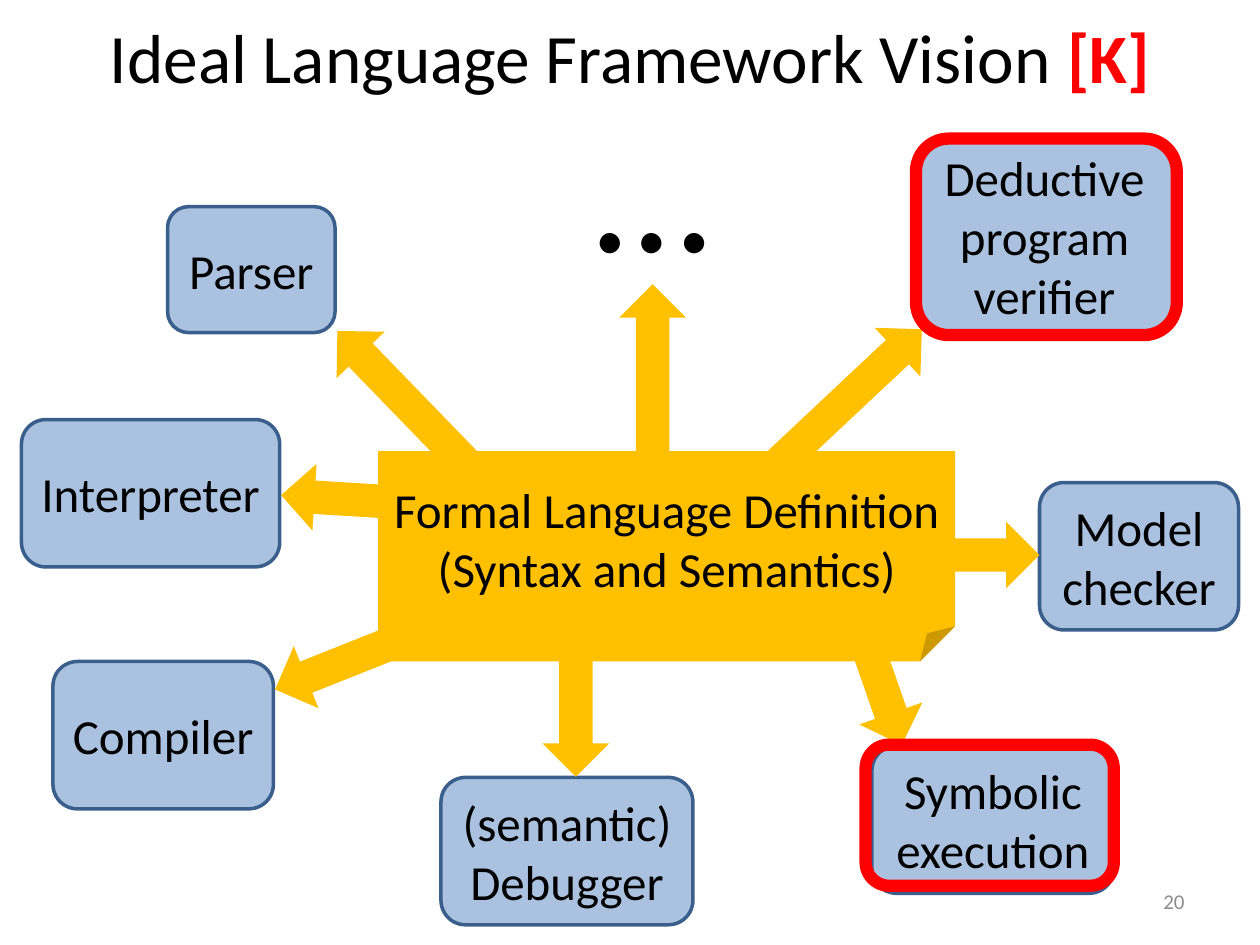
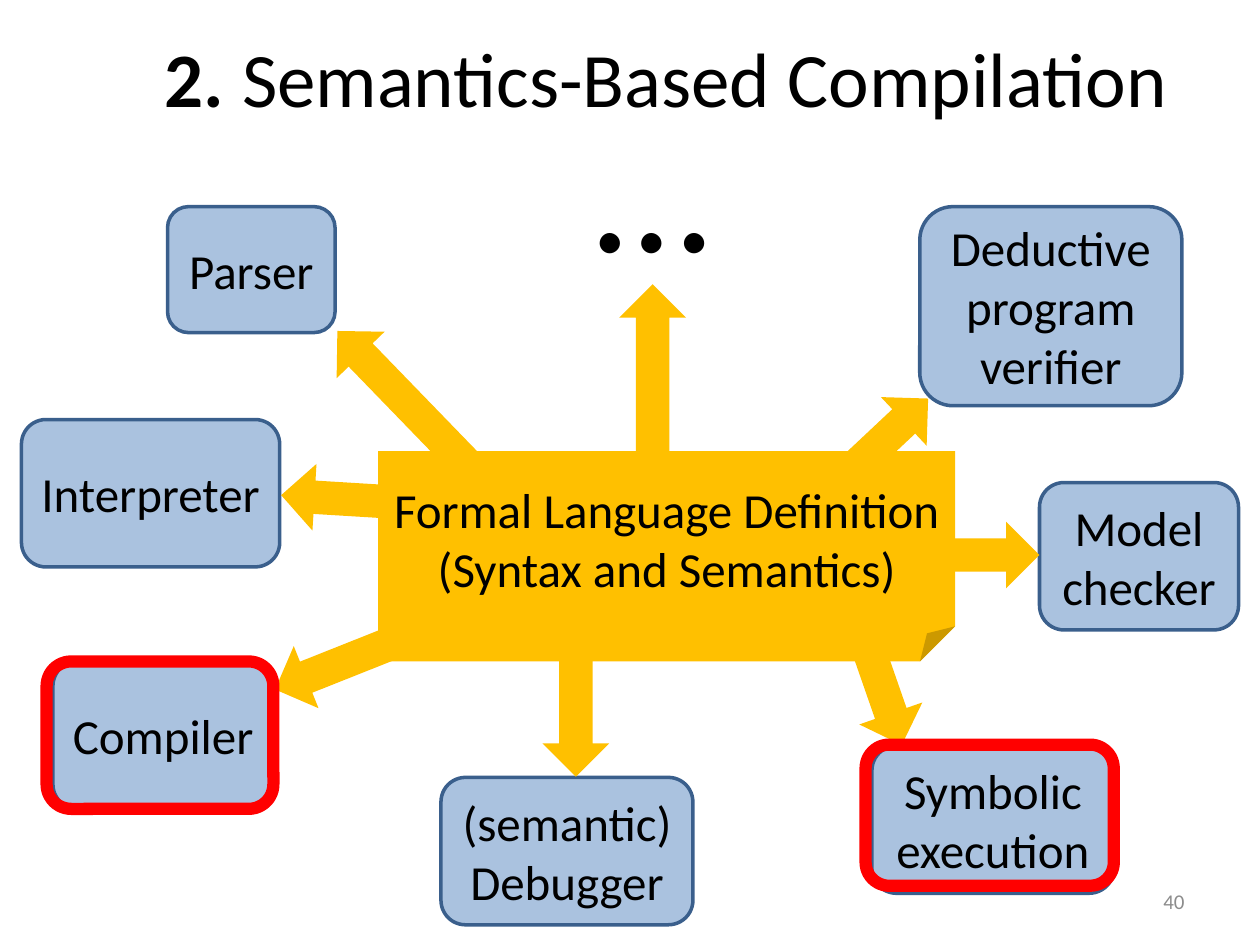
from lxml import etree
from pptx import Presentation
from pptx.dml.color import RGBColor
from pptx.enum.shapes import MSO_SHAPE
from pptx.enum.text import MSO_ANCHOR, PP_ALIGN
from pptx.oxml.ns import qn
from pptx.util import Inches, Pt

BLACK = RGBColor(0x00, 0x00, 0x00)
RED = RGBColor(0xFF, 0x00, 0x00)
GOLD = RGBColor(0xFF, 0xC0, 0x00)
BLUE = RGBColor(0x4F, 0x81, 0xBD)
DARK_BLUE = RGBColor(0x3A, 0x5F, 0x8C)
GREY = RGBColor(0x8C, 0x8C, 0x8C)

FONT = "Calibri"
LABEL_SIZE = 28
ARROW_HEIGHT = 0.53
TOOL_OPACITY = 48

# Each tool: label, box (left, top, width, height), arrow (left, top, width, rotation)
TOOLS = [
    ("Parser", (1.33, 1.64, 1.33, 1), (2.45, 2.9, 1.5, 225.9)),
    ("Interpreter", (0.17, 3.33, 2.05, 1.17), (2.23, 3.71, 1.48, 183.5)),
    ("Compiler", (0.42, 5.25, 1.75, 1.17), (2.13, 4.93, 1.5, 158.3)),
    ("(semantic) Debugger", (3.5, 6.17, 2, 1.17), (3.82, 5.15, 1.5, 90)),
    ("Symbolic execution", (6.92, 5.92, 1.92, 1.17), (6.16, 4.94, 1.5, 70.8)),
    ("Model checker", (8.25, 3.83, 1.58, 1.17), (6.75, 4.14, 1.5, 0)),
]
VERIFIER_MARK = (7.27, 1.1, 2.07, 1.56)
COMPILER_MARK = (0.37, 5.25, 1.8, 1.17)
EXECUTION_MARK = (6.87, 5.91, 1.97, 1.12)


class Deck:
    """Holds the presentation, its style and the current slide."""

    def __init__(self):
        self.prs = Presentation()
        self.prs.slide_width = Inches(10)
        self.prs.slide_height = Inches(7.5)
        self.s = None

    def new_slide(self):
        self.s = self.prs.slides.add_slide(self.prs.slide_layouts[6])

    def fill_text(self, sp, paragraphs, size, align=PP_ALIGN.CENTER,
                  anchor=MSO_ANCHOR.MIDDLE, wrap=True):
        """Put text in a shape; each paragraph is a list of (text, colour, bold) runs."""
        tf = sp.text_frame
        tf.word_wrap = wrap
        tf.vertical_anchor = anchor
        for i, runs in enumerate(paragraphs):
            p = tf.add_paragraph() if i else tf.paragraphs[0]
            p.alignment = align
            for text, color, bold in runs:
                r = p.add_run()
                r.text = text
                r.font.name = FONT
                r.font.size = Pt(size)
                r.font.bold = bold
                r.font.color.rgb = color

    def text(self, at, runs, size, **style):
        sp = self.s.shapes.add_textbox(*map(Inches, at))
        self.fill_text(sp, [runs], size, **style)

    def shape(self, kind, at, fill=None, line=None, line_width=2):
        sp = self.s.shapes.add_shape(kind, *map(Inches, at))
        sp.shadow.inherit = False
        if fill is None:
            sp.fill.background()
        else:
            sp.fill.solid()
            sp.fill.fore_color.rgb = fill
        if line is None:
            sp.line.fill.background()
        else:
            sp.line.color.rgb = line
            sp.line.width = Pt(line_width)
        return sp

    def arrow(self, left, top, width, rotation):
        sp = self.shape(MSO_SHAPE.RIGHT_ARROW, (left, top, width, ARROW_HEIGHT), GOLD)
        sp.rotation = rotation

    def tool(self, label, box, arrow):
        """Translucent labelled box with the arrow that leads to it."""
        sp = self.shape(MSO_SHAPE.ROUNDED_RECTANGLE, box, BLUE, DARK_BLUE)
        color = sp.element.spPr.find(qn("a:solidFill"))[0]
        etree.SubElement(color, qn("a:alpha")).set("val", str(TOOL_OPACITY * 1000))
        self.fill_text(sp, [[(label, BLACK, False)]], LABEL_SIZE)
        self.arrow(*arrow)

    def highlight(self, at):
        self.shape(MSO_SHAPE.ROUNDED_RECTANGLE, at, line=RED, line_width=7)

    def definition(self):
        sp = self.shape(MSO_SHAPE.FOLDED_CORNER, (3, 3.58, 4.58, 1.67), GOLD)
        lines = ["Formal Language Definition", "(Syntax and Semantics)"]
        self.fill_text(sp, [[(line, BLACK, False)] for line in lines], LABEL_SIZE)

    def title(self, left, top, runs, size):
        self.text((left, top, 9, 0.95), runs, size)

    def page_number(self, number):
        self.text((7.17, 6.95, 2.33, 0.4), [(str(number), GREY, False)], 12,
                  align=PP_ALIGN.RIGHT)

    def framework(self, number, verifier_box, verifier_arrow, marks):
        """The diagram of tools around the language definition."""
        self.tool("Deductive program verifier", verifier_box, verifier_arrow)
        for tool in TOOLS:
            self.tool(*tool)
        self.definition()
        self.page_number(number)
        self.text((4.62, 0.62, 1.13, 1.72), [("…", BLACK, False)], 96,
                  align=PP_ALIGN.LEFT, anchor=MSO_ANCHOR.TOP, wrap=False)
        self.arrow(4.39, 2.78, 1.58, 270)
        for mark in marks:
            self.highlight(mark)


def vision_slide(deck):
    deck.new_slide()
    deck.title(0.5, -0.03, [("Ideal Language Framework Vision ", BLACK, False),
                            ("[K]", RED, True)], 39.6)
    deck.framework(20, (7.25, 1.08, 2.08, 1.58), (5.57, 3.04, 2.02, 316.8),
                   [VERIFIER_MARK, EXECUTION_MARK])


def compilation_slide(deck):
    deck.new_slide()
    deck.title(0.79, 0.13, [("2.", BLACK, True),
                            (" Semantics-Based Compilation", BLACK, False)], 44)
    deck.framework(40, (7.3, 1.64, 2.08, 1.58), (5.62, 3.59, 2.02, 316.8),
                   [COMPILER_MARK, EXECUTION_MARK])


def main():
    deck = Deck()
    vision_slide(deck)
    compilation_slide(deck)
    deck.prs.save("out.pptx")


if __name__ == "__main__":
    main()
